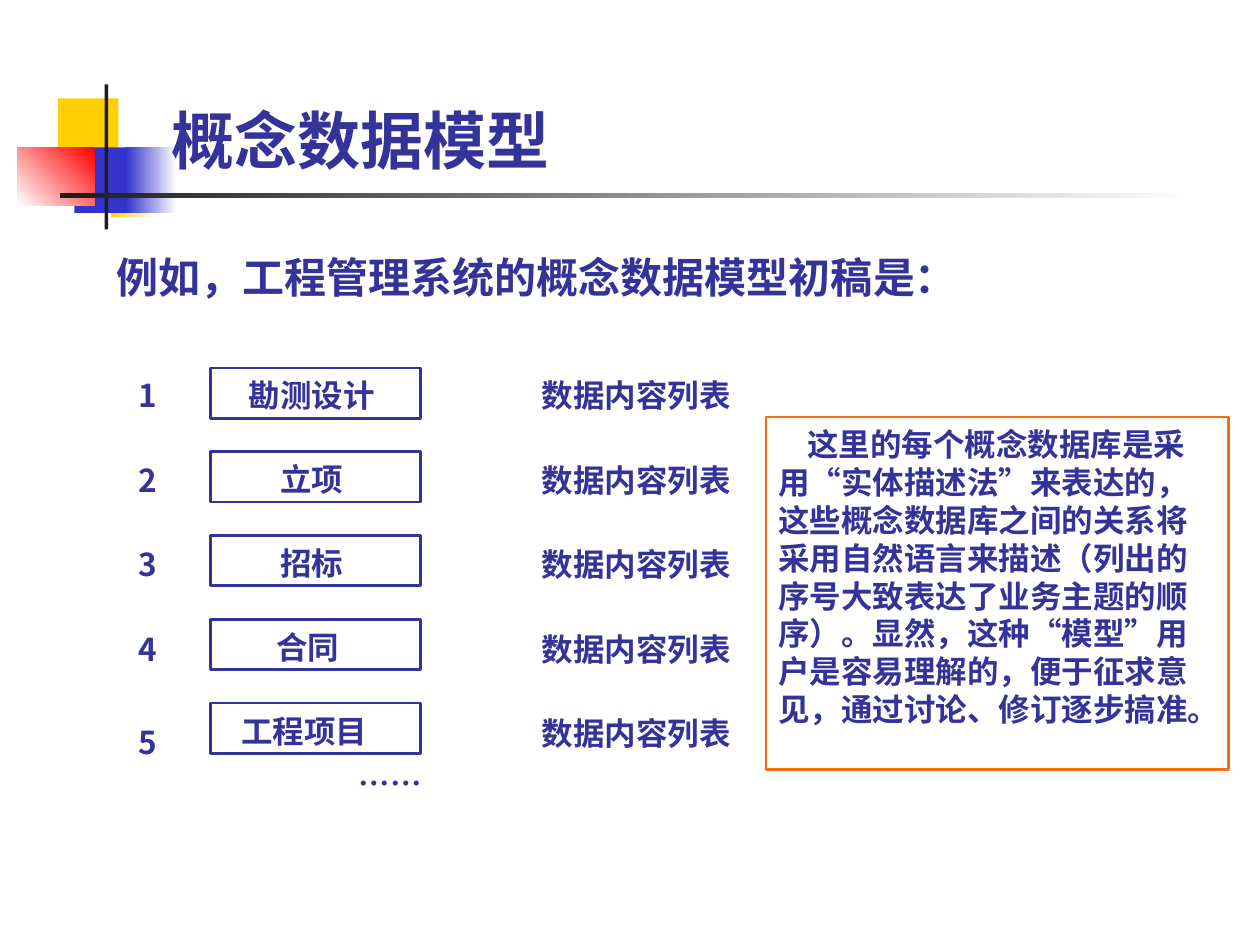
from lxml import etree
from pptx import Presentation
from pptx.dml.color import RGBColor
from pptx.enum.shapes import MSO_SHAPE
from pptx.enum.text import MSO_ANCHOR, MSO_AUTO_SIZE, PP_ALIGN
from pptx.oxml.ns import qn
from pptx.util import Inches, Pt

RECT = MSO_SHAPE.RECTANGLE
TOP, BOTTOM = MSO_ANCHOR.TOP, MSO_ANCHOR.BOTTOM
LEFT, CENTER = PP_ALIGN.LEFT, PP_ALIGN.CENTER
GROW = MSO_AUTO_SIZE.SHAPE_TO_FIT_TEXT

FONT = "Noto Sans CJK SC"
NAVY, ORANGE = "333399", "F46F0C"
YELLOW, BLUE, RED, BLACK, WHITE = "FFCF01", "3333CC", "FF0000", "1C1C1C", "FFFFFF"

# Each topic with the space kept free on its right
TOPICS = [("勘测设计", 0.06), ("立项", 0.06), ("招标", 0.06),
          ("合同", 0.12), ("工程项目", 0.18)]
NOTE = ("这里的每个概念数据库是采用“实体描述法”来表达的，这些概念数据库之间的关系将采用"
        "自然语言来描述（列出的序号大致表达了业务主题的顺序）。显然，这种“模型”用户是容易"
        "理解的，便于征求意见，通过讨论、修订逐步搞准。")


def rgb(value):
    return RGBColor.from_string(value)


def inches(*values):
    return [Inches(v) for v in values]


def add_block(s, at, *colors, angle=180):
    """Borderless rectangle, solid or graded along a clockwise angle."""
    sp = s.shapes.add_shape(RECT, *inches(*at))
    sp.shadow.inherit = False
    sp.line.fill.background()
    if len(colors) == 1:
        sp.fill.solid()
        sp.fill.fore_color.rgb = rgb(colors[0])
        return
    sp.fill.gradient()
    sp.fill.gradient_angle = 360 - angle
    for stop, color in zip(sp.fill.gradient_stops, colors):
        stop.color.rgb = rgb(color)


def set_text(sp, text, size=18, align=LEFT, anchor=TOP, pad=0, indent=0):
    """Bold navy text; pad widens the right margin, indent moves line one."""
    tf = sp.text_frame
    tf.word_wrap = True
    tf.vertical_anchor = anchor
    if anchor == TOP:
        tf.auto_size = GROW
    drop = 0.07 * size / 72  # lowers the baseline within the fixed line height
    tf.margin_left, tf.margin_right = inches(0.1, 0.1 + pad)
    tf.margin_top, tf.margin_bottom = inches(0.05 + drop, 0.05 - drop)
    p = tf.paragraphs[0]
    p.text = text
    p.alignment = align
    p.line_spacing = Pt(1.2 * size)
    if indent:
        p._p.get_or_add_pPr().set("indent", str(Inches(indent)))
    font = p.font
    font.name, font.size, font.bold = FONT, Pt(size), True
    font.color.rgb = rgb(NAVY)
    etree.SubElement(font._element, qn("a:ea")).set("typeface", FONT)


def add_text(s, at, text, **style):
    set_text(s.shapes.add_textbox(*inches(*at)), text, **style)


def add_frame(s, at, text, color, **style):
    """Unfilled rectangle with a coloured outline and text."""
    sp = s.shapes.add_shape(RECT, *inches(*at))
    sp.shadow.inherit = False
    sp.fill.background()
    sp.line.color.rgb = rgb(color)
    sp.line.width = Pt(1.5)
    set_text(sp, text, **style)


def add_decoration(s):
    add_block(s, (0.46, 0.78, 0.48, 0.52), YELLOW)
    add_block(s, (0.88, 1.2, 0.36, 0.52), WHITE, YELLOW)
    add_block(s, (0.59, 1.17, 0.46, 0.52), BLUE)
    add_block(s, (1, 1.17, 0.4, 0.52), WHITE, BLUE)
    add_block(s, (0.14, 1.17, 0.61, 0.46), RED, WHITE, angle=135)
    add_block(s, (0.83, 0.67, 0.03, 1.15), BLACK)
    add_block(s, (0.48, 1.53, 9, 0.04), WHITE, BLACK)


def add_topics(s):
    for i, (topic, pad) in enumerate(TOPICS):
        box_top = 2.92 + 0.665 * i
        label_top = 2.92 + 0.67 * i
        number_top = 5.67 if i == len(TOPICS) - 1 else label_top
        add_text(s, (1, number_top, 0.5, 0.4), str(i + 1))
        add_frame(s, (1.67, box_top, 1.67, 0.4), topic, NAVY, align=CENTER, pad=pad)
        add_text(s, (4.08, label_top, 2, 0.4), "数据内容列表", align=CENTER, pad=0.06)
    add_text(s, (2.75, 6, 1.42, 0.4), "……")


def main():
    prs = Presentation()
    prs.slide_width, prs.slide_height = inches(10, 7.5)
    s = prs.slides.add_slide(prs.slide_layouts[6])

    # Corner blocks and rule
    add_decoration(s)

    # Title and lead sentence
    add_text(s, (1.26, 0.17, 8.52, 1.25), "概念数据模型", size=36, anchor=BOTTOM)
    add_text(s, (0.83, 1.92, 8.08, 0.5), "例如，工程管理系统的概念数据模型初稿是：", size=24)

    # Numbered topics and explanation
    add_topics(s)
    add_frame(s, (6.08, 3.31, 3.67, 2.8), NOTE, ORANGE, align=LEFT, indent=0.23)

    prs.save("out.pptx")


if __name__ == "__main__":
    main()
